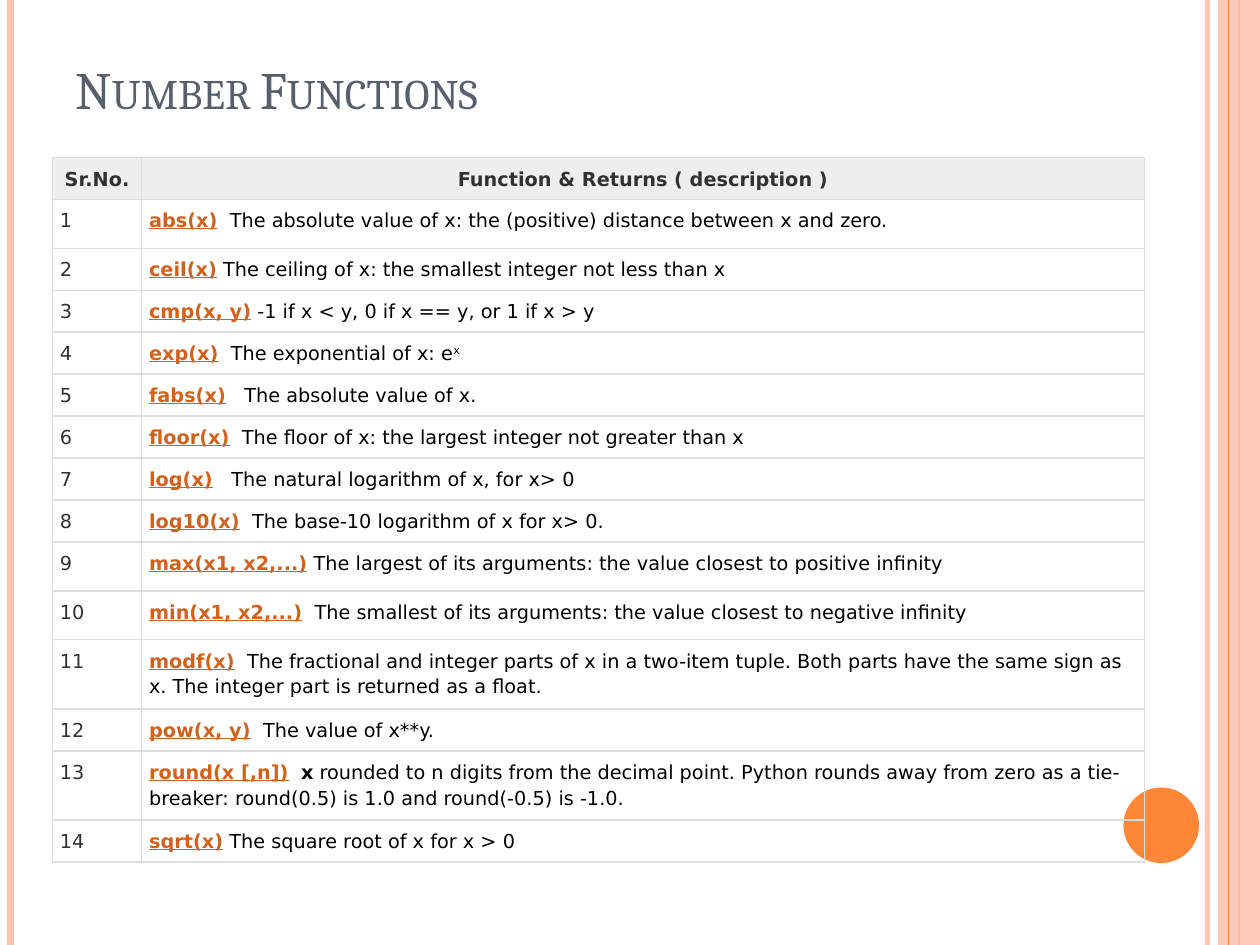
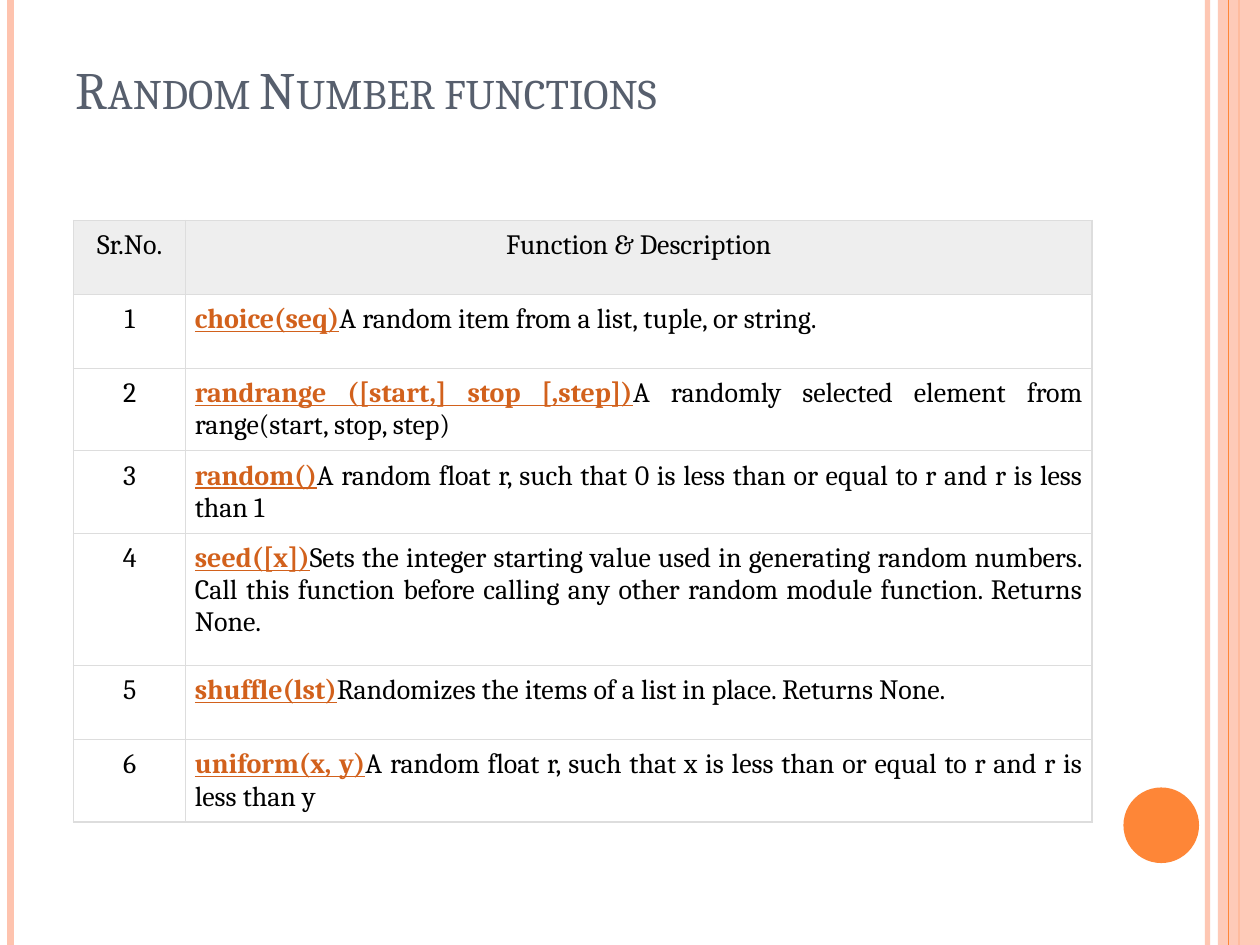
from dataclasses import dataclass

from pptx import Presentation
from pptx.dml.color import RGBColor
from pptx.enum.shapes import MSO_CONNECTOR, MSO_SHAPE
from pptx.enum.text import MSO_ANCHOR, MSO_AUTO_SIZE, PP_ALIGN
from pptx.oxml.ns import qn
from pptx.util import Inches, Pt
from lxml.etree import SubElement


@dataclass(frozen=True)
class Theme:
    peach: str = "FEC3AE"
    orange: str = "FE8637"
    slate: str = "575F6D"
    link: str = "D2611C"
    head: str = "EEEEEE"
    rule: str = "DDDDDD"
    grey: str = "313131"
    black: str = "000000"
    serif: str = "Cambria"
    sans: str = "DejaVu Sans"
    title: int = 30
    small: int = 11
    large: int = 16


@dataclass(frozen=True)
class Look:
    """How one table is set."""
    face: str
    size: int
    ink: str        # header and number colour
    bold: bool      # header weight
    lead: float     # line spacing
    inset: float    # cell margin, in grid units
    edge: float     # border width in points
    number: PP_ALIGN
    text: PP_ALIGN


THEME = Theme()
COLS, ROWS = 120, 90    # grid over the whole slide
UNIT = Inches(10) / COLS

PLAIN = Look(THEME.sans, THEME.small, THEME.grey, True, 1.15, 0.7, 1,
             PP_ALIGN.LEFT, PP_ALIGN.LEFT)
FORMAL = Look(THEME.serif, THEME.large, THEME.black, False, 1.0, 0.86, 0.75,
              PP_ALIGN.CENTER, PP_ALIGN.JUSTIFY)

# Each row: function name, then pieces of text; a pair adds a run style
MATHS = [
    ("abs(x)", "  The absolute value of x: the (positive) distance between x and zero."),
    ("ceil(x)", " The ceiling of x: the smallest integer not less than x"),
    ("cmp(x, y)", " -1 if x < y, 0 if x == y, or 1 if x > y"),
    ("exp(x)", "  The exponential of x: e", ("x", "raised")),
    ("fabs(x)", "   The absolute value of x."),
    ("floor(x)", "  The floor of x: the largest integer not greater than x"),
    ("log(x)", "   The natural logarithm of x, for x> 0"),
    ("log10(x)", "  The base-10 logarithm of x for x> 0."),
    ("max(x1, x2,...)", " The largest of its arguments: the value closest to positive infinity"),
    ("min(x1, x2,...)", "  The smallest of its arguments: the value closest to negative infinity"),
    ("modf(x)", "  The fractional and integer parts of x in a two-item tuple. Both parts "
                "have the same sign as x. The integer part is returned as a float."),
    ("pow(x, y)", "  The value of x**y."),
    ("round(x [,n])", "  ", ("x", "bold"),
     " rounded to n digits from the decimal point. Python rounds away from zero "
     "as a tie-breaker: round(0.5) is 1.0 and round(-0.5) is -1.0."),
    ("sqrt(x)", " The square root of x for x > 0"),
]
RANDOM = [
    ("choice(seq)", "A random item from a list, tuple, or string."),
    ("randrange ([start,] stop [,step])",
     "A randomly selected element from range(start, stop, step)"),
    ("random()", "A random float r, such that 0 is less than or equal to r "
                 "and r is less than 1"),
    ("seed([x])", "Sets the integer starting value used in generating random numbers. "
                  "Call this function before calling any other random module function. "
                  "Returns None."),
    ("shuffle(lst)", "Randomizes the items of a list in place. Returns None."),
    ("uniform(x, y)", "A random float r, such that x is less than or equal to r "
                      "and r is less than y"),
]


def grid(*units):
    return [round(u * UNIT) for u in units]


def tint(code):
    return RGBColor.from_string(code)


def fade(shape, share):
    """Set the opacity, in percent, of a shape's colours."""
    for node in shape._element.spPr.iter(qn("a:srgbClr")):
        SubElement(node, qn("a:alpha")).set("val", str(share * 1000))


# Shared side bands and dot
def stripe(slide, col, code, width):
    line = slide.shapes.add_connector(MSO_CONNECTOR.STRAIGHT, *grid(col, 0, col, ROWS))
    line.line.color.rgb = tint(code)
    line.line.width = Pt(width)
    SubElement(line._element.spPr, qn("a:effectLst"))
    return line


def block(slide, kind, code, *place):
    shape = slide.shapes.add_shape(kind, *grid(*place))
    shape.shadow.inherit = False
    shape.fill.solid()
    shape.fill.fore_color.rgb = tint(code)
    shape.line.fill.background()
    return shape


def frame(slide):
    fade(stripe(slide, 115, THEME.peach, 3), 93)
    stripe(slide, 1, THEME.peach, 4.5)
    stripe(slide, 118, THEME.orange, 1.5)
    fade(block(slide, MSO_SHAPE.RECTANGLE, THEME.peach, 116, 0, 4, ROWS), 87)
    stripe(slide, 117, THEME.orange, 0.75)
    block(slide, MSO_SHAPE.OVAL, THEME.orange, 107, 75, 7.2, 7.2)


def head(slide, text):
    box = slide.shapes.title
    box.left, box.top, box.width, box.height = grid(6, 3.6, 98, 8.4)
    body = box.text_frame
    body.auto_size = MSO_AUTO_SIZE.NONE
    body.vertical_anchor = MSO_ANCHOR.BOTTOM
    para = body.paragraphs[0]
    para.alignment = PP_ALIGN.LEFT
    para.font.name, para.font.size = THEME.serif, Pt(THEME.title)
    para.font.color.rgb = tint(THEME.slate)
    run = para.add_run()
    run.text = text
    run._r.get_or_add_rPr().set("cap", "small")


# Table parts
def border(cell, width):
    props = cell._tc.get_or_add_tcPr()
    for side in ("lnL", "lnR", "lnT", "lnB"):
        line = SubElement(props, qn(f"a:{side}"), w=str(Pt(width)))
        paint = SubElement(line, qn("a:solidFill"))
        SubElement(paint, qn("a:srgbClr"), val=THEME.rule)


def setup(cell, look, align, back=None):
    """Format a cell and return its paragraph."""
    border(cell, look.edge)
    if back:
        cell.fill.solid()
        cell.fill.fore_color.rgb = tint(back)
    else:
        cell.fill.background()
    pad, = grid(look.inset)
    cell.margin_left = cell.margin_right = pad
    cell.margin_top = cell.margin_bottom = pad
    para = cell.text_frame.paragraphs[0]
    para.alignment, para.line_spacing = align, look.lead
    para.font.name, para.font.size = look.face, Pt(look.size)
    return para


def write(para, text, code, bold=False):
    run = para.add_run()
    run.text = text
    run.font.bold = bold
    run.font.color.rgb = tint(code)
    return run


def entry(para, name, *parts):
    write(para, name, THEME.link, True).font.underline = True
    for part in parts:
        text, style = (part, "") if isinstance(part, str) else part
        run = write(para, text, THEME.black, style == "bold")
        if style == "raised":
            run._r.get_or_add_rPr().set("baseline", "30000")


def chart(slide, look, place, cols, label, items, row, tall):
    """Add a numbered table; tall maps row numbers to other heights."""
    count = len(items) + 1
    highs = [tall.get(i, row) for i in range(count)]
    table = slide.shapes.add_table(
        count, 2, *grid(*place, sum(cols), sum(highs))).table
    table.first_row = table.horz_banding = False
    for col, width in zip(table.columns, grid(*cols)):
        col.width = width
    for line, high in zip(table.rows, grid(*highs)):
        line.height = high

    for i, text in enumerate(("Sr.No.", label)):
        para = setup(table.cell(0, i), look, PP_ALIGN.CENTER, THEME.head)
        write(para, text, look.ink, look.bold)
    for i, item in enumerate(items, 1):
        write(setup(table.cell(i, 0), look, look.number), str(i), look.ink)
        entry(setup(table.cell(i, 1), look, look.text), *item)


def start(deck, title):
    slide = deck.slides.add_slide(deck.slide_layouts[5])
    frame(slide)
    head(slide, title)
    return slide


def main():
    deck = Presentation()
    deck.slide_width, deck.slide_height = grid(COLS, ROWS)

    slide = start(deck, "Number Functions")
    chart(slide, PLAIN, (5, 15), (8.5, 95.5), "Function & Returns ( description )",
          MATHS, 4, {1: 4.65, 9: 4.65, 10: 4.65, 11: 6.6, 13: 6.6})

    slide = start(deck, "Random Number functions")
    chart(slide, FORMAL, (7, 21), (10.7, 86.3), "Function & Description",
          RANDOM, 7.05, {4: 12.6})

    deck.save("out.pptx")


if __name__ == "__main__":
    main()
